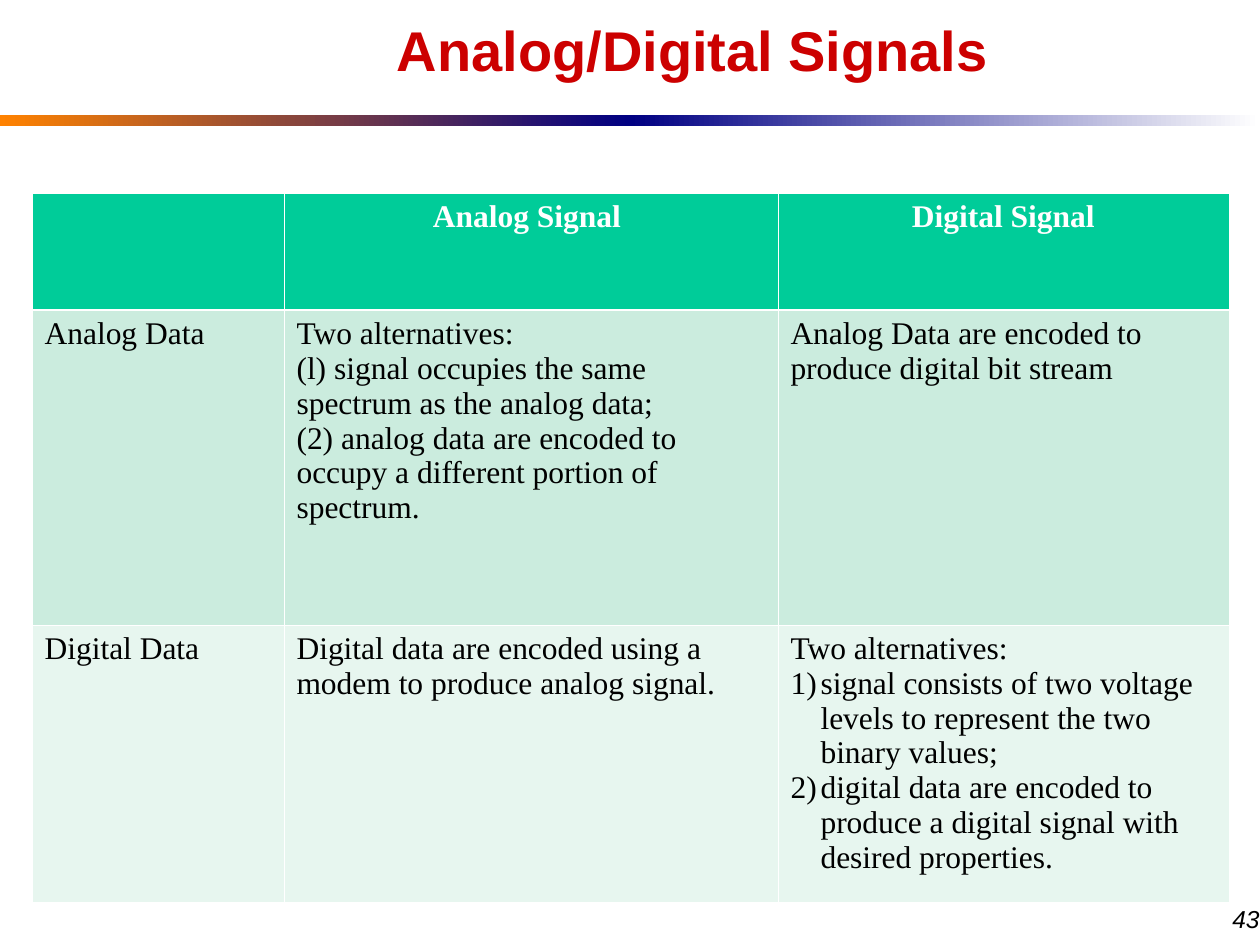
import pptx
import pptx.dml.color
import pptx.enum.shapes
import pptx.enum.text
import pptx.oxml
import pptx.oxml.ns
import pptx.util

RGB = pptx.dml.color.RGBColor
ALIGN = pptx.enum.text.PP_ALIGN
PX = 914400 // 126

RED = RGB(0xCC, 0x00, 0x00)
BLACK = RGB(0x00, 0x00, 0x00)
WHITE = RGB(0xFF, 0xFF, 0xFF)
ORANGE = RGB(0xFF, 0x82, 0x00)
NAVY = RGB(0x00, 0x00, 0x82)
GREEN = RGB(0x00, 0xCC, 0x99)
MINT = RGB(0xCB, 0xEC, 0xDE)
PALE = RGB(0xE7, 0xF6, 0xEF)

THIN, THICK = 0.45, 1.47
COLUMNS = [252, 494, 451]
ROWS = [117, 315, 277]
ROW_FILLS = [GREEN, MINT, PALE]
CELLS = [
    [[], ["Analog Signal "], ["Digital Signal"]],
    [
        ["Analog Data"],
        [
            "Two alternatives:",
            "(l) signal occupies the same spectrum as the analog data;",
            "(2) analog data are encoded to occupy a different portion of spectrum.",
        ],
        ["Analog Data are encoded to produce digital bit stream"],
    ],
    [
        ["Digital Data"],
        ["Digital data are encoded using a modem to produce analog signal."],
        [
            "Two alternatives:",
            "signal consists of two voltage levels to represent the two binary values;",
            "digital data are encoded to produce a digital signal with desired properties.",
        ],
    ],
]
NUMBERED_CELL = (2, 2)


def px(*values):
    return [v * PX for v in values]


def style(p, name, size, color, bold=False, italic=False):
    p.font.name = name
    p.font.size = pptx.util.Pt(size)
    p.font.color.rgb = color
    p.font.bold = bold
    p.font.italic = italic


def add_title(slide, text):
    sp = slide.shapes.title
    sp.left, sp.top, sp.width, sp.height = px(147, 0, 1092, 105)
    tf = sp.text_frame
    tf.text = text
    tf.auto_size = pptx.enum.text.MSO_AUTO_SIZE.NONE
    tf.vertical_anchor = pptx.enum.text.MSO_ANCHOR.MIDDLE
    p = tf.paragraphs[0]
    p.alignment = ALIGN.CENTER
    p.line_spacing = 0.93
    style(p, "Arial", 32, RED, bold=True)


def add_band(slide, left, start, end):
    sp = slide.shapes.add_shape(
        pptx.enum.shapes.MSO_SHAPE.RECTANGLE, *px(left, 115, 630, 11))
    sp.shadow.inherit = False
    sp.line.fill.background()
    sp.fill.gradient()
    sp.fill.gradient_angle = 0
    for stop, color in zip(sp.fill.gradient_stops, (start, end)):
        stop.color.rgb = color


def add_page_number(slide, text):
    tf = slide.shapes.add_textbox(*px(1220, 898, 72, 43)).text_frame
    tf.word_wrap = True
    tf.text = text
    style(tf.paragraphs[0], "Arial", 14, BLACK, italic=True)


def set_borders(cell, top, bottom):
    tc_pr = cell._tc.get_or_add_tcPr()
    widths = {"lnL": THIN, "lnR": THIN, "lnT": top, "lnB": bottom}
    for i, (tag, width) in enumerate(widths.items()):
        tc_pr.insert(i, pptx.oxml.parse_xml(
            f'<a:{tag} {pptx.oxml.ns.nsdecls("a")} w="{pptx.util.Pt(width)}">'
            f'<a:solidFill><a:srgbClr val="{WHITE}"/></a:solidFill></a:{tag}>'))


def number_paragraph(p):
    p_pr = p._p.get_or_add_pPr()
    p_pr.set("marL", str(30 * PX))
    p_pr.set("indent", str(-30 * PX))
    p_pr.append(pptx.oxml.parse_xml(
        f'<a:buAutoNum {pptx.oxml.ns.nsdecls("a")} type="arabicParenR"/>'))


def fill_cell(cell, lines, header, numbered):
    tf = cell.text_frame
    tf.text = "\n".join(lines)
    for i, p in enumerate(tf.paragraphs):
        if numbered and i > 0:
            number_paragraph(p)
        p.alignment = ALIGN.CENTER if header else ALIGN.LEFT
        style(p, "Times New Roman", 18, WHITE if header else BLACK, bold=header)


def add_signal_table(slide):
    table = slide.shapes.add_table(
        len(ROWS), len(COLUMNS), *px(32, 193, sum(COLUMNS), sum(ROWS))).table
    for column, width in zip(table.columns, COLUMNS):
        column.width = width * PX
    for r, height in enumerate(ROWS):
        table.rows[r].height = height * PX
        for c, lines in enumerate(CELLS[r]):
            cell = table.cell(r, c)
            cell.fill.solid()
            cell.fill.fore_color.rgb = ROW_FILLS[r]
            set_borders(cell, THICK if r == 1 else THIN, THICK if r == 0 else THIN)
            fill_cell(cell, lines, r == 0, (r, c) == NUMBERED_CELL)


def main():
    prs = pptx.Presentation()
    prs.slide_width, prs.slide_height = px(1260, 945)
    slide = prs.slides.add_slide(prs.slide_layouts[5])
    add_band(slide, 0, ORANGE, NAVY)
    add_band(slide, 630, NAVY, WHITE)
    add_page_number(slide, "43")
    add_title(slide, "Analog/Digital Signals")
    add_signal_table(slide)
    prs.save("out.pptx")


if __name__ == "__main__":
    main()
